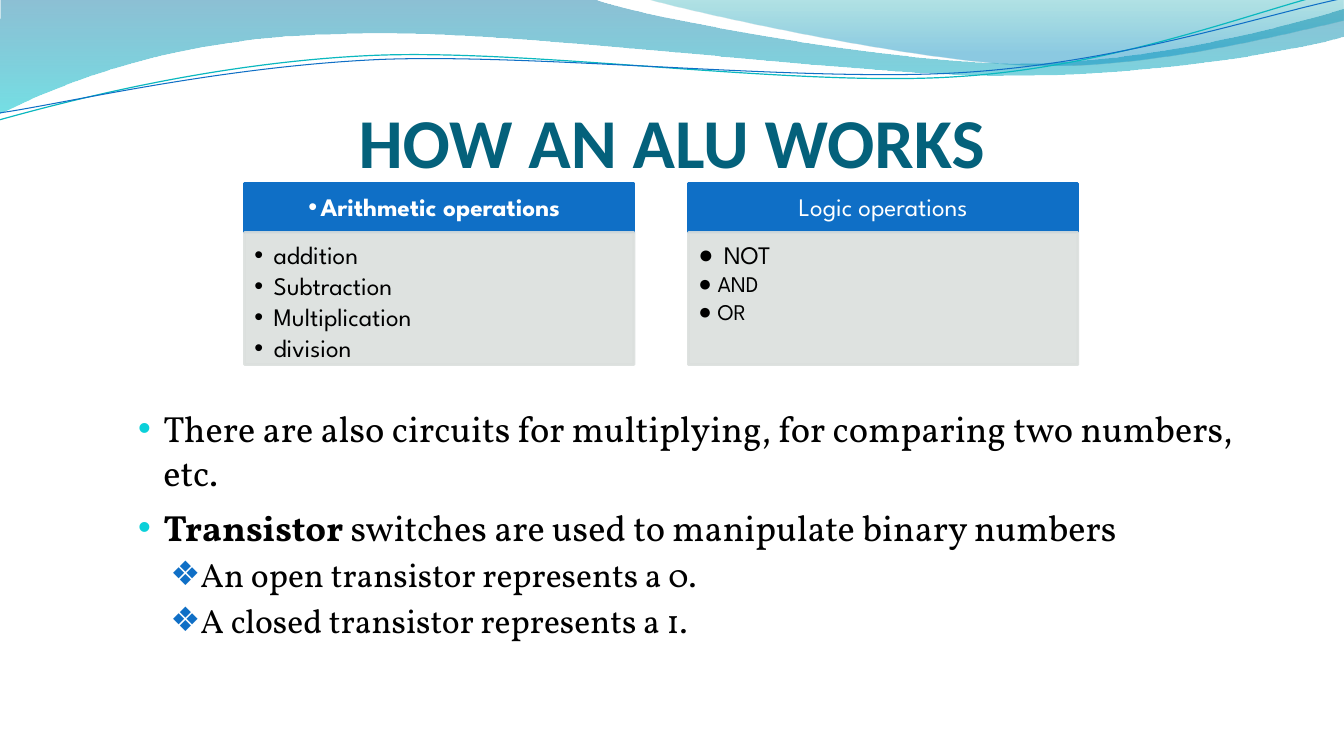
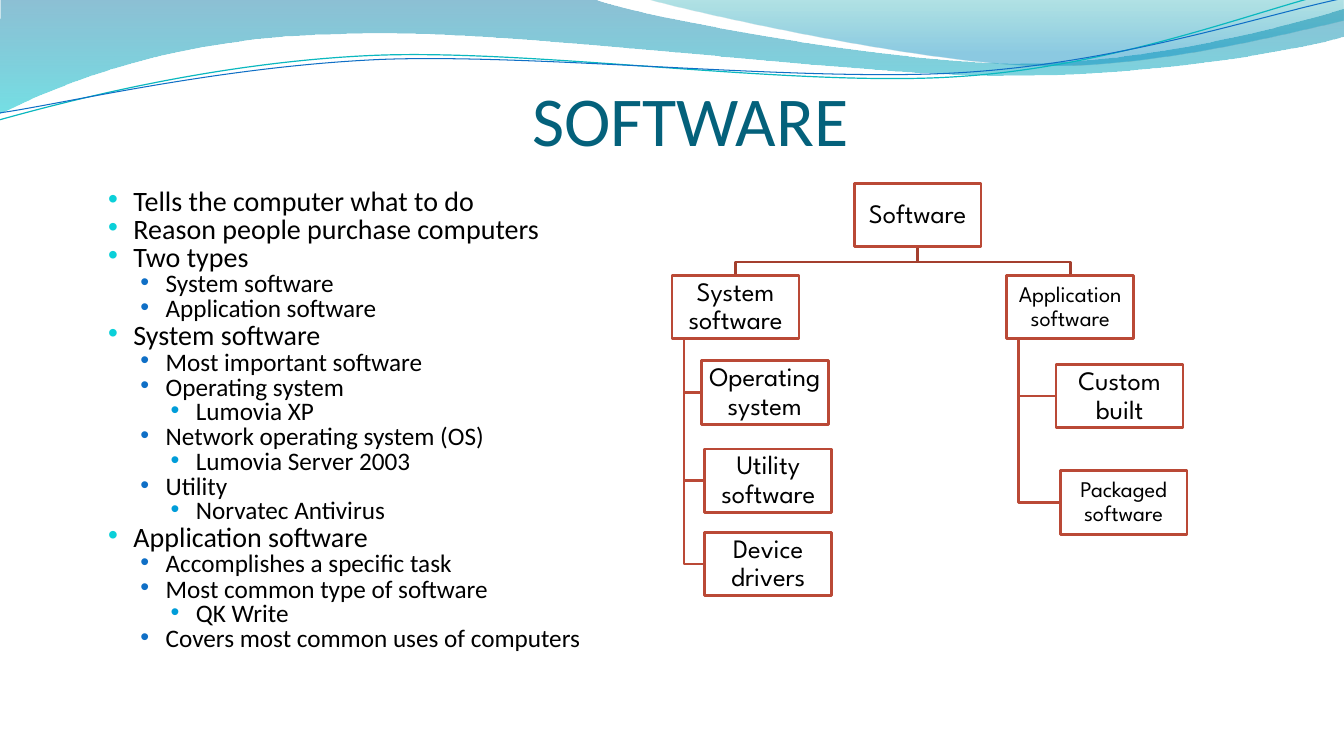
from dataclasses import dataclass

from lxml import etree
from pptx import Presentation
from pptx import util as u
from pptx.dml.color import RGBColor
from pptx.enum import shapes, text
from pptx.oxml import ns

WHITE = RGBColor(0xFF, 0xFF, 0xFF)
BLACK = RGBColor(0x00, 0x00, 0x00)
TEAL = RGBColor(0x04, 0x61, 0x7B)
BLUE = RGBColor(0x0F, 0x6F, 0xC6)
SKY = RGBColor(0x00, 0x9D, 0xD9)
CYAN = RGBColor(0x0B, 0xD0, 0xD9)
AQUA = RGBColor(0x0A, 0xB8, 0xBF)
GREY = RGBColor(0xDB, 0xDF, 0xDD)
RUST = RGBColor(0xBA, 0x49, 0x36)
BRICK = RGBColor(0xA4, 0x3F, 0x2E)
DEEP = RGBColor(0x00, 0x74, 0xA1)
MINT = RGBColor(0x00, 0xC6, 0xCF)
JADE = RGBColor(0x00, 0xA1, 0xA9)
AZURE = RGBColor(0x00, 0x8B, 0xBF)

SANS, SERIF, ROUND = "Calibri", "Vollkorn", "League Spartan"
WIDE, HIGH = u.Emu(12192000), u.Emu(6858000)
PAGE = (0, 0, WIDE, HIGH)
COLS, ROWS = 13.33, 7.5
PAD = (0.1, 0.05, 0.1, 0.05)

BANDS = [
    ([[(0, 0)], [(5.87, -0.01)],
      [(6.34, 0.17), (8.85, 0.63), (10.11, 0.63)],
      [(11.38, 0.63), (12.78, 0.26), (13.33, 0.09)],
      [(13.35, 0.36)],
      [(13.11, 0.44), (11.6, 0.76), (9.94, 0.75)],
      [(8.29, 0.75), (5.09, 0.28), (3.43, 0.34)],
      [(1.72, 0.36), (0.61, 0.83), (-0.01, 1.13)]],
     [(0, DEEP, 45), (1, MINT, 55)]),
    ([[(6.39, -0.01)],
      [(6.79, 0.11), (9.09, 0.62), (10.25, 0.65)],
      [(11.41, 0.69), (12.82, 0.32), (13.33, 0.21)],
      [(13.33, 0)]],
     [(0, JADE, 30), (0.8, AZURE, 45)]),
]
CURVES = [
    ([[(-0.01, 1.19)],
      [(0.64, 1.01), (2.11, 0.62), (3.69, 0.55)],
      [(5.27, 0.48), (7.9, 0.87), (9.5, 0.76)],
      [(11.1, 0.66), (12.52, 0.08), (13.31, -0.1)]], AQUA, 0.85),
    ([[(0, 1.12)],
      [(0.63, 1.03), (2.18, 0.66), (3.78, 0.59)],
      [(5.37, 0.53), (7.96, 0.82), (9.55, 0.72)],
      [(11.15, 0.62), (12.55, 0.14), (13.34, -0.02)]], BLUE, 0.75),
]


@dataclass
class Style:
    size: float
    face: str
    color: RGBColor = BLACK
    mark: str = ""
    tint: RGBColor = BLACK
    level: int = 0
    left: float = 0
    hang: float = 0
    before: float = 0
    pitch: float = 1
    center: bool = False


def area(box, x, y, w, h):
    left, top, wide, high = box
    return (round(left + wide * x / 100), round(top + high * y / 100),
            round(wide * w / 100), round(high * h / 100))


def child(node, tag, **attrs):
    return etree.SubElement(node, ns.qn(tag), **attrs)


def write(frame, rows, pad=PAD, anchor=text.MSO_ANCHOR.TOP):
    frame.word_wrap = True
    frame.vertical_anchor = anchor
    (frame.margin_left, frame.margin_top,
     frame.margin_right, frame.margin_bottom) = map(u.Inches, pad)
    for i, (style, *runs) in enumerate(rows):
        para = frame.add_paragraph() if i else frame.paragraphs[0]
        if style.mark:
            props = para._p.get_or_add_pPr()
            props.set("marL", str(u.Inches(style.left)))
            props.set("indent", str(u.Inches(-style.hang)))
            child(child(props, "a:buClr"), "a:srgbClr", val=str(style.tint))
            child(props, "a:buFont", typeface="Arial")
            child(props, "a:buChar", char=style.mark)
        para.level = style.level
        para.alignment = text.PP_ALIGN.CENTER if style.center else text.PP_ALIGN.LEFT
        para.line_spacing = style.pitch
        if i:
            para.space_before = u.Pt(style.before)
        for words, bold in runs:
            run = para.add_run()
            run.text = words
            font = run.font
            font.size, font.name, font.bold = u.Pt(style.size), style.face, bold
            font.color.rgb = style.color


def block(slide, box, fill, edge, alpha=100):
    rect = slide.shapes.add_shape(shapes.MSO_SHAPE.RECTANGLE, *box)
    rect.shadow.inherit = False
    rect.fill.solid()
    rect.fill.fore_color.rgb = fill
    rect.line.color.rgb = edge
    rect.line.width = u.Pt(2)
    if alpha < 100:
        for tone in rect._element.spPr.iter(ns.qn("a:srgbClr")):
            child(tone, "a:alpha", val=str(alpha * 1000))
    return rect


def outline(slide, points, close=False):
    pen = slide.shapes.build_freeform(*points[0])
    pen.add_line_segments(points[1:], close=close)
    form = pen.convert_to_shape()
    form.shadow.inherit = False
    return form


def stroke(form, color, width):
    form.fill.background()
    form.line.color.rgb = color
    form.line.width = u.Pt(width)


def trace(slide, box, parts, close):
    left, top, wide, high = box
    parts = [[(round(left + x * wide / COLS), round(top + y * high / ROWS))
              for x, y in part] for part in parts]
    form = outline(slide, [part[-1] for part in parts], close)
    lines = list(form._element.spPr.iter(ns.qn("a:lnTo")))
    for line, part in zip(lines, parts[1:]):
        if len(part) == 3:
            line.tag = ns.qn("a:cubicBezTo")
            line.clear()
            for x, y in part:
                child(line, "a:pt", x=str(x - form.left), y=str(y - form.top))
    return form


def waves(slide, box):
    for parts, stops in BANDS:
        band = trace(slide, box, parts, True)
        band.line.fill.background()
        band.fill.gradient()
        band.fill.gradient_angle = 270
        for stop, (place, color, alpha) in zip(band.fill.gradient_stops, stops):
            stop.position = place
            stop.color.rgb = color
            tone = stop._gs.find(ns.qn("a:srgbClr"))
            child(tone, "a:alpha", val=str(alpha * 1000))
    for parts, color, width in CURVES:
        stroke(trace(slide, box, parts, False), color, width)


def title(slide, box, words, bold=False):
    frame = slide.shapes.add_textbox(*box).text_frame
    style = Style(50, SANS, TEAL, center=True)
    write(frame, [(style, (words, bold))], anchor=text.MSO_ANCHOR.MIDDLE)


def body(slide, box, rows):
    write(slide.shapes.add_textbox(*box).text_frame, rows)


def panels(slide, box, items):
    wide, head = 46.73, 27.22
    for i, (top, rows) in enumerate(items):
        x = i * (100 - wide)
        cap = block(slide, area(box, x, 0, wide, head), BLUE, BLUE)
        write(cap.text_frame, [top], (0.14, 0.08, 0.14, 0.08), text.MSO_ANCHOR.MIDDLE)
        base = block(slide, area(box, x, head, wide, 100 - head), GREY, GREY, 90)
        write(base.text_frame, rows, (0.1, 0.1, 0.14, 0.16))


def tree(slide, box, root, limbs):
    def spot(x, y, *rest):
        return area(box, x, y, 24.66, 15.4)

    def node(x, y, words, size=19):
        rect = block(slide, spot(x, y), WHITE, RUST)
        style = Style(size, ROUND, pitch=0.9, center=True)
        write(rect.text_frame, [(style, (words, False))],
              (0.01,) * 4, text.MSO_ANCHOR.MIDDLE)

    left, top, wide, high = spot(*root)
    stem, foot = left + wide // 2, top + high
    bus = area(box, 0, 19.07, 0, 0)[1]
    inset = area(box, 0, 0, 2.35, 0)[2]
    nodes = [root]
    for limb, leaves in limbs:
        left, top, wide, high = spot(*limb)
        mid, rail, base = left + wide // 2, left + inset, top + high
        stroke(outline(slide, [(stem, foot), (stem, bus), (mid, bus), (mid, top)]),
               BRICK, 2)
        nodes += [limb, *leaves]
        for leaf in leaves:
            side, peak, _, tall = spot(*leaf)
            y = peak + tall // 2
            stroke(outline(slide, [(rail, base), (rail, y), (side, y)]), RUST, 2)
    for item in nodes:
        node(*item)


def works(slide):
    title(slide, area(PAGE, 5, 10.27, 90, 16.67), "HOW AN ALU WORKS", True)
    main = Style(26, SERIF, mark="•", tint=CYAN, left=0.38, hang=0.25, before=8)
    sub = Style(24, SERIF, mark="❖", tint=BLUE, level=1, left=0.7, hang=0.25, before=4)
    body(slide, area(PAGE, 8.57, 53.07, 84.5, 35.07), [
        (main, ("There are also circuits for multiplying, for comparing two numbers, etc.", False)),
        (main, ("Transistor", True), (" switches are used to manipulate binary numbers", False)),
        (sub, ("An open transistor represents a 0.", False)),
        (sub, ("A closed transistor represents a 1.", False)),
    ])

    def item(size, mark):
        return Style(size, ROUND, mark=mark, level=1, left=0.19, hang=0.19,
                     before=2.7, pitch=0.9)

    dotted = Style(18, ROUND, WHITE, "•", WHITE, hang=0.12, pitch=0.9, center=True)
    plain = Style(18, ROUND, WHITE, pitch=0.9, center=True)
    sums = ["addition", "Subtraction", "Multiplication", "division"]
    gates = [(" NOT", 18), ("AND", 16), ("OR", 16)]
    panels(slide, area(PAGE, 18.2, 24.23, 62, 24), [
        ((dotted, ("Arithmetic operations ", True)),
         [(item(18, "•"), (word, False)) for word in sums]),
        ((plain, ("Logic operations", False)),
         [(item(size, "●"), (word, False)) for word, size in gates]),
    ])


def kinds(slide):
    title(slide, area(PAGE, 9.12, 6, 84.5, 19.33), "SOFTWARE")
    tiers = [Style(size, SANS, mark="•", tint=tint, level=i, left=left,
                   hang=0.25, before=gap, pitch=0.7)
             for i, (size, tint, left, gap) in enumerate([
                 (20, CYAN, 0.38, 3.2), (18, BLUE, 0.7, 2.8), (18, SKY, 1, 2.4)])]
    points = [
        (0, "Tells the computer what to do"),
        (0, "Reason people purchase computers"),
        (0, "Two types"),
        (1, "System software"),
        (1, "Application software"),
        (0, "System software"),
        (1, "Most important software"),
        (1, "Operating system"),
        (2, "Lumovia XP"),
        (1, "Network operating system (OS)"),
        (2, "Lumovia Server 2003"),
        (1, "Utility"),
        (2, "Norvatec Antivirus"),
        (0, "Application software"),
        (1, "Accomplishes a specific task"),
        (1, "Most common type of software"),
        (2, "QK Write"),
        (1, "Covers most common uses of computers"),
    ]
    body(slide, area(PAGE, 6.34, 24.8, 84.5, 63.47),
         [(tiers[tier], (words, False)) for tier, words in points])
    tree(slide, area(PAGE, 50, 24.27, 38.33, 54.53), (35.35, 0, "Software"), [
        ((0, 22.25, "System software"), [
            (5.68, 43.03, "Operating system"),
            (6.36, 64.4, "Utility software"),
            (6.36, 84.6, "Device drivers")]),
        ((64.97, 22.25, "Application software", 16), [
            (74.56, 43.87, "Custom built"),
            (75.34, 69.68, "Packaged software", 16)]),
    ])


def main():
    deck = Presentation()
    deck.slide_width, deck.slide_height = WIDE, HIGH
    for fill in (works, kinds):
        slide = deck.slides.add_slide(deck.slide_layouts[6])
        waves(slide, PAGE)
        fill(slide)
    deck.save("out.pptx")


if __name__ == "__main__":
    main()
